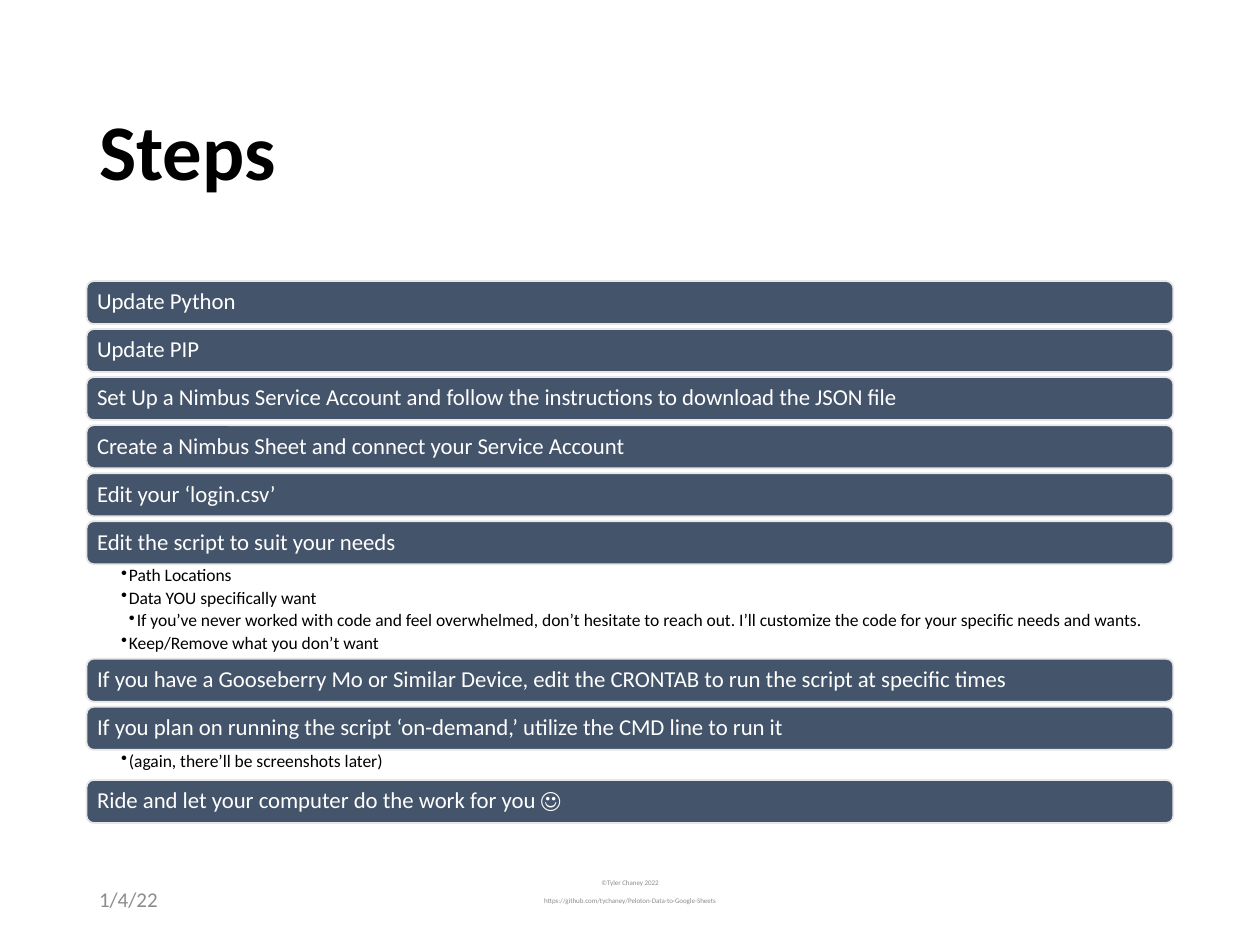
"""Build the Steps slide: a column of bars with bulleted details."""
from lxml import etree
from pptx import Presentation
from pptx.dml.color import RGBColor
from pptx.enum.shapes import MSO_SHAPE
from pptx.enum.text import MSO_ANCHOR, PP_ALIGN
from pptx.oxml.ns import qn
from pptx.util import Pt

ROUNDED = MSO_SHAPE.ROUNDED_RECTANGLE
LEFT, CENTER = PP_ALIGN.LEFT, PP_ALIGN.CENTER
TOP, MIDDLE = MSO_ANCHOR.TOP, MSO_ANCHOR.MIDDLE

TITLE = "Steps"
STEPS = [
    ("Update Python", []),
    ("Update PIP", []),
    ("Set Up a Nimbus Service Account and follow the instructions to download the JSON file", []),
    ("Create a Nimbus Sheet and connect your Service Account", []),
    ("Edit your ‘login.csv’", []),
    ("Edit the script to suit your needs", [
        (1, "Path Locations"),
        (1, "Data YOU specifically want"),
        (2, "If you’ve never worked with code and feel overwhelmed, don’t hesitate to reach out. "
            "I’ll customize the code for your specific needs and wants."),
        (1, "Keep/Remove what you don’t want"),
    ]),
    ("If you have a Gooseberry Mo or Similar Device, edit the CRONTAB to run the script at specific times", []),
    ("If you plan on running the script ‘on-demand,’ utilize the CMD line to run it", [
        (1, "(again, there’ll be screenshots later)"),
    ]),
    ("Ride and let your computer do the work for you ☺", []),
]
DATE = "1/4/22"
FOOTER = ["©Tyler Chaney 2022", "https://github.com/tychaney/Peloton-Data-to-Google-Sheets"]

THEME = {
    "font": "Calibri",
    "ink": "000000", "muted": "8C8C8C", "bar": "44546A", "edge": "E7E6E6", "on_bar": "FFFFFF",
    "title": 45, "step": 13, "detail": 10, "date": 12, "footer": 4,
}

MARGIN, WIDTH = 49.5, 621
STEPS_TOP, BAR_H, GAP = 160.6, 24.57, 2.88
DETAIL_LINE, DETAIL_PAD = 12.25, 5
INDENT = 4.5
FOOT_TOP, FOOT_H = 500.5, 28.75


def color(name):
    return RGBColor.from_string(THEME[name])


def add_bullet(p, level):
    pPr = p._p.get_or_add_pPr()
    pPr.set("marL", str(Pt(INDENT * level)))
    pPr.set("indent", str(-Pt(INDENT)))
    etree.SubElement(pPr, qn("a:buChar")).set("char", "•")


def write(s, lines, size, ink, bold=False, align=LEFT, anchor=MIDDLE,
          insets=(7.2, 3.6, 7.2, 3.6), after=0, levels=None):
    tf = s.text_frame
    tf.word_wrap = True
    tf.vertical_anchor = anchor
    tf.margin_left, tf.margin_top, tf.margin_right, tf.margin_bottom = map(Pt, insets)
    for i, line in enumerate(lines):
        p = tf.paragraphs[0] if i == 0 else tf.add_paragraph()
        p.alignment = align
        p.line_spacing = 0.9
        p.space_before, p.space_after = Pt(0), Pt(after)
        if levels:
            add_bullet(p, levels[i])
        r = p.add_run()
        r.text = line
        r.font.name, r.font.size, r.font.bold = THEME["font"], Pt(THEME[size]), bold
        r.font.color.rgb = color(ink)


def add_bar(slide, y, text):
    s = slide.shapes.add_shape(ROUNDED, Pt(MARGIN), Pt(y), Pt(WIDTH), Pt(BAR_H))
    s.shadow.inherit = False
    s.fill.solid()
    s.fill.fore_color.rgb = color("bar")
    s.line.color.rgb = color("edge")
    s.line.width = Pt(1)
    write(s, [text], "step", "on_bar", insets=(4.8, 3.6, 4.8, 3.6))


def add_text(slide, x, y, w, h, lines, size, ink, **fmt):
    s = slide.shapes.add_textbox(Pt(x), Pt(y), Pt(w), Pt(h))
    write(s, lines, size, ink, **fmt)


def main():
    prs = Presentation()
    prs.slide_width, prs.slide_height = Pt(720), Pt(540)
    slide = prs.slides.add_slide(prs.slide_layouts[5])

    title = slide.shapes.title
    title.left, title.top, title.width, title.height = Pt(MARGIN), Pt(44), Pt(WIDTH), Pt(89)
    write(title, [TITLE], "title", "ink", bold=True)

    y = STEPS_TOP
    for step, details in STEPS:
        add_bar(slide, y, step)
        y += BAR_H
        if details:
            levels, lines = zip(*details)
            h = DETAIL_LINE * len(lines) + DETAIL_PAD
            add_text(slide, MARGIN, y, WIDTH, h, lines, "detail", "ink", anchor=TOP,
                     insets=(19.7, 1.3, 7.2, 1.3), after=2, levels=levels)
            y += h
        else:
            y += GAP

    add_text(slide, MARGIN, FOOT_TOP, 162, FOOT_H, [DATE], "date", "muted")
    add_text(slide, 238.5, FOOT_TOP, 243, FOOT_H, FOOTER, "footer", "muted",
             align=CENTER, anchor=TOP, insets=(7.2, 2, 7.2, 2), after=6)
    prs.save("out.pptx")


if __name__ == "__main__":
    main()
